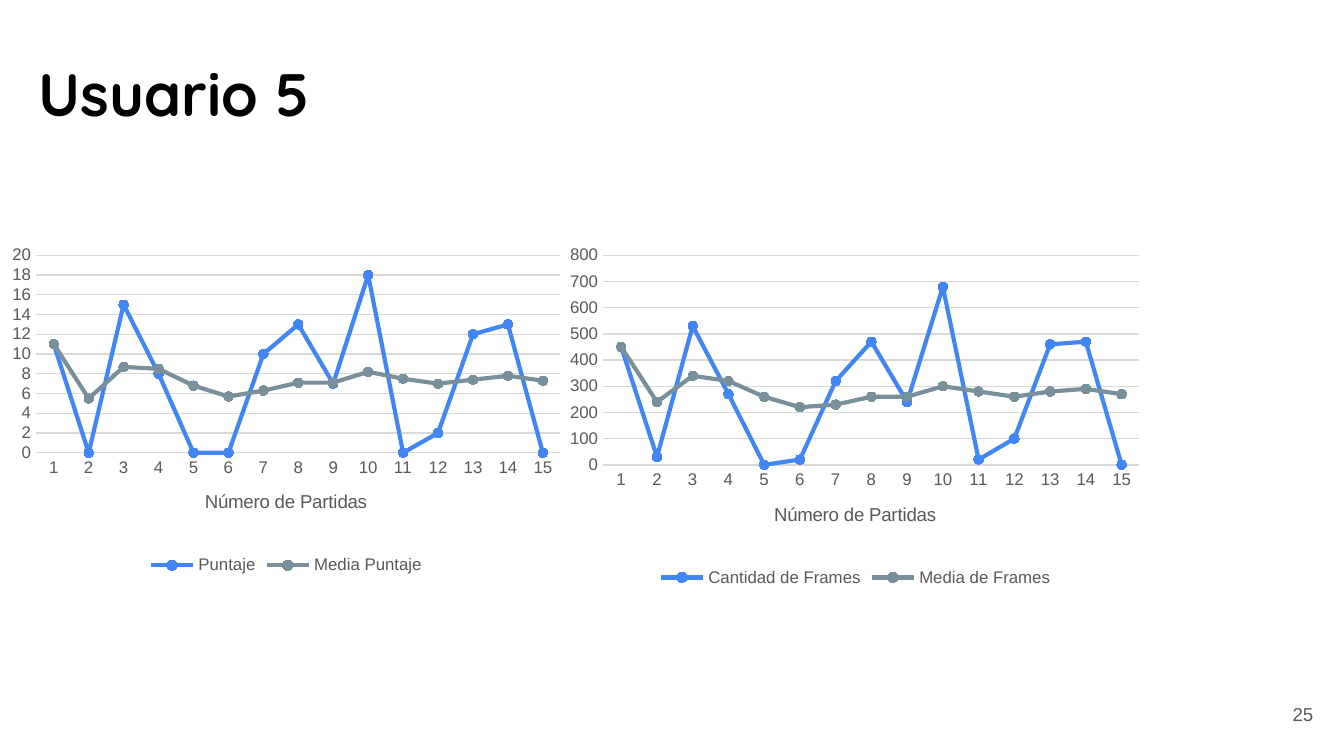
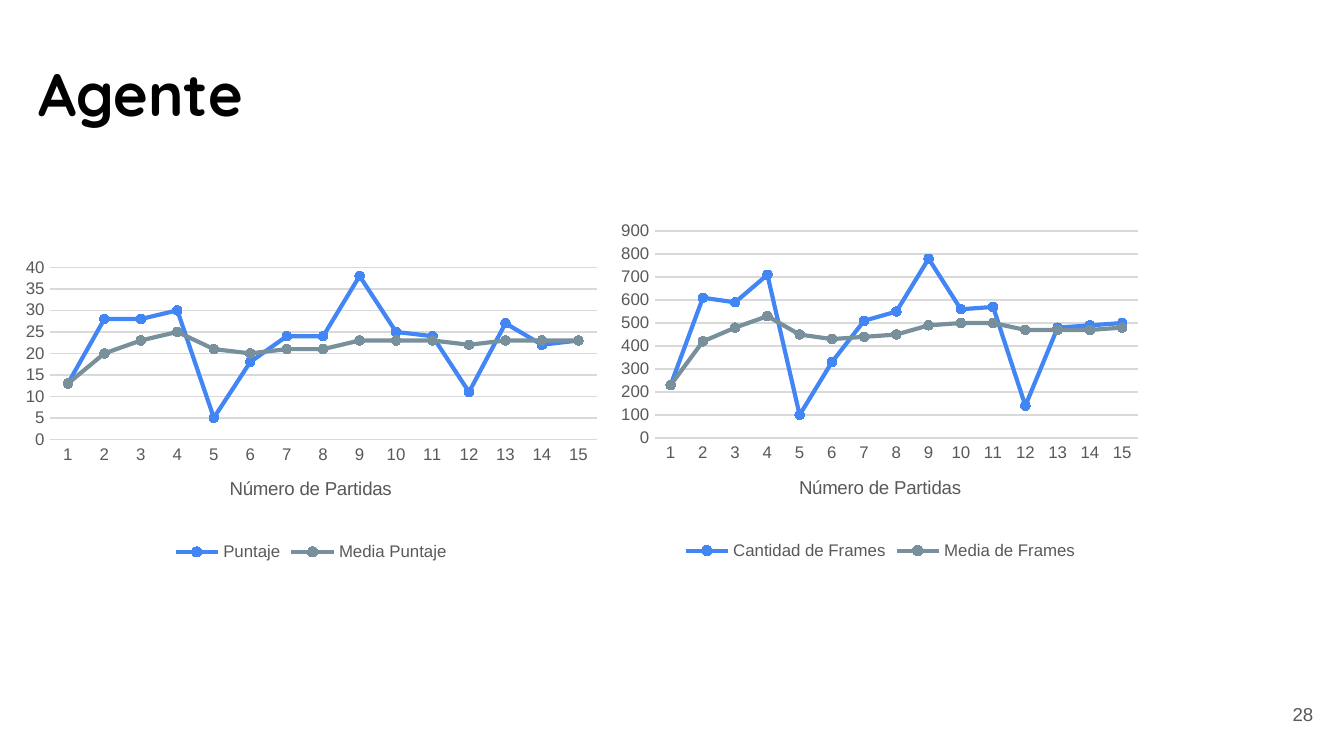
from lxml import etree
from pptx import Presentation
from pptx import util as u
from pptx.chart.data import CategoryChartData
from pptx.dml.color import RGBColor
from pptx.enum import chart as c
from pptx.enum import text as t
from pptx.oxml.ns import qn

BLACK = RGBColor(0x00, 0x00, 0x00)
GRAY = RGBColor(0x59, 0x59, 0x59)
GRID = RGBColor(0xD9, 0xD9, 0xD9)
BLUE = RGBColor(0x42, 0x85, 0xF4)
SLATE = RGBColor(0x78, 0x90, 0x9C)

SLIDE_WIDTH = u.Inches(10)
SLIDE_HEIGHT = SLIDE_WIDTH * 9 // 16
TITLE_BOX = (1.9, 5.69, 84.4, 13.16)
NUMBER_BOX = (92.7, 90.67, 6, 7.64)
SCORE_NAMES = ("Puntaje", "Media Puntaje")
FRAME_NAMES = ("Cantidad de Frames", "Media de Frames")


def place(box):
    left, top, width, height = box
    return (
        round(SLIDE_WIDTH * left / 100),
        round(SLIDE_HEIGHT * top / 100),
        round(SLIDE_WIDTH * width / 100),
        round(SLIDE_HEIGHT * height / 100),
    )


def style_font(font, size, color=GRAY, name="Arial", bold=False):
    font.size, font.name, font.bold = u.Pt(size), name, bold
    font.color.rgb = color


def add_text(slide, box, words, alignment, anchor, **style):
    shape = slide.shapes.add_textbox(*place(box))
    frame = shape.text_frame
    frame.word_wrap = True
    frame.margin_left = frame.margin_right = u.Inches(0.1)
    frame.margin_top = frame.margin_bottom = u.Inches(0.1)
    frame.vertical_anchor = anchor
    frame.text = words
    paragraph = frame.paragraphs[0]
    paragraph.alignment = alignment
    style_font(paragraph.runs[0].font, **style)
    return frame


def set_layout(element, index, **shares):
    for previous in element.findall(qn("c:layout")):
        element.remove(previous)
    layout = etree.Element(qn("c:layout"))
    manual = etree.SubElement(layout, qn("c:manualLayout"))
    settings = {"xMode": "edge", "yMode": "edge", **shares}
    if "w" in shares:
        settings = {"layoutTarget": "inner", **settings}
    for tag, value in settings.items():
        etree.SubElement(manual, qn(f"c:{tag}")).set("val", str(value))
    element.insert(index, layout)


def arrange_chart(chart, width, height, label_inset):
    left, right = u.Inches(label_inset), u.Inches(0.09)
    top, bottom = u.Inches(0.13), u.Inches(0.95)
    set_layout(
        chart.element.find(f".//{qn('c:plotArea')}"), 0,
        x=left / width, y=top / height,
        w=1 - (left + right) / width, h=1 - (top + bottom) / height,
    )
    set_layout(
        chart.category_axis.axis_title.element, 1,
        x=0.5 - u.Inches(0.63) / width, y=1 - u.Inches(0.7) / height,
    )


def style_axes(chart, maximum, step):
    category, value = chart.category_axis, chart.value_axis
    for axis in (category, value):
        axis.major_tick_mark = axis.minor_tick_mark = c.XL_TICK_MARK.NONE
        style_font(axis.tick_labels.font, 9)
    category.format.line.color.rgb = GRID
    category.format.line.width = u.Pt(0.75)
    frame = category.axis_title.text_frame
    frame.text = "Número de Partidas"
    style_font(frame.paragraphs[0].runs[0].font, 10)
    value.minimum_scale, value.maximum_scale, value.major_unit = 0, maximum, step
    value.format.line.fill.background()
    value.has_major_gridlines = True
    value.major_gridlines.format.line.color.rgb = GRID
    value.major_gridlines.format.line.width = u.Pt(0.75)


def style_series(series, color):
    series.smooth = False
    series.format.line.color.rgb = color
    series.format.line.width = u.Pt(2.25)
    marker = series.marker
    marker.style, marker.size = c.XL_MARKER_STYLE.CIRCLE, 5
    marker.format.fill.solid()
    marker.format.fill.fore_color.rgb = color
    marker.format.line.color.rgb = color


def add_mean_chart(slide, box, names, values, means, maximum, step, label_inset):
    data = CategoryChartData()
    data.categories = [str(game) for game in range(1, len(values) + 1)]
    for name, numbers in zip(names, (values, means)):
        data.add_series(name, numbers)
    left, top, width, height = place(box)
    chart = slide.shapes.add_chart(
        c.XL_CHART_TYPE.LINE_MARKERS, left, top, width, height, data).chart
    chart.has_title = False
    style_font(chart.font, 10, BLACK)
    chart.plots[0].vary_by_categories = False
    for series, color in zip(chart.plots[0].series, (BLUE, SLATE)):
        style_series(series, color)
    style_axes(chart, maximum, step)
    chart.has_legend = True
    chart.legend.position = c.XL_LEGEND_POSITION.BOTTOM
    chart.legend.include_in_layout = False
    style_font(chart.legend.font, 9)
    arrange_chart(chart, width, height, label_inset)


def add_results_slide(presentation, title, number, scores, frames):
    slide = presentation.slides.add_slide(presentation.slide_layouts[6])
    heading = add_text(slide, TITLE_BOX, title, t.PP_ALIGN.LEFT, t.MSO_ANCHOR.TOP,
                       size=32, color=BLACK, name="Quicksand", bold=True)
    heading.auto_size = t.MSO_AUTO_SIZE.SHAPE_TO_FIT_TEXT
    add_mean_chart(slide, names=SCORE_NAMES, label_inset=0.27, **scores)
    add_mean_chart(slide, names=FRAME_NAMES, label_inset=0.33, step=100, **frames)
    add_text(slide, NUMBER_BOX, str(number), t.PP_ALIGN.RIGHT, t.MSO_ANCHOR.MIDDLE,
             size=10)


def main():
    presentation = Presentation()
    presentation.slide_width, presentation.slide_height = SLIDE_WIDTH, SLIDE_HEIGHT
    add_results_slide(
        presentation, "Usuario 5", 25,
        scores=dict(
            box=(0, 31.47, 42.6, 45.33), maximum=20, step=2,
            values=[11, 0, 15, 8, 0, 0, 10, 13, 7, 18, 0, 2, 12, 13, 0],
            means=[11, 5.5, 8.7, 8.5, 6.8, 5.7, 6.3, 7.1, 7.1, 8.2, 7.5, 7,
                   7.4, 7.8, 7.3]),
        frames=dict(
            box=(41.6, 31.47, 44.1, 46.93), maximum=800,
            values=[450, 30, 530, 270, 0, 20, 320, 470, 240, 680, 20, 100,
                    460, 470, 0],
            means=[450, 240, 340, 320, 260, 220, 230, 260, 260, 300, 280, 260,
                   280, 290, 270]),
    )
    add_results_slide(
        presentation, "Agente", 28,
        scores=dict(
            box=(1, 33.07, 44.3, 41.96), maximum=40, step=5,
            values=[13, 28, 28, 30, 5, 18, 24, 24, 38, 25, 24, 11, 27, 22, 23],
            means=[13, 20, 23, 25, 21, 20, 21, 21, 23, 23, 23, 22, 23, 23, 23]),
        frames=dict(
            box=(45.4, 28.27, 40.2, 46.58), maximum=900,
            values=[230, 610, 590, 710, 100, 330, 510, 550, 780, 560, 570, 140,
                    480, 490, 500],
            means=[230, 420, 480, 530, 450, 430, 440, 450, 490, 500, 500, 470,
                   470, 470, 480]),
    )
    presentation.save("out.pptx")


if __name__ == "__main__":
    main()
